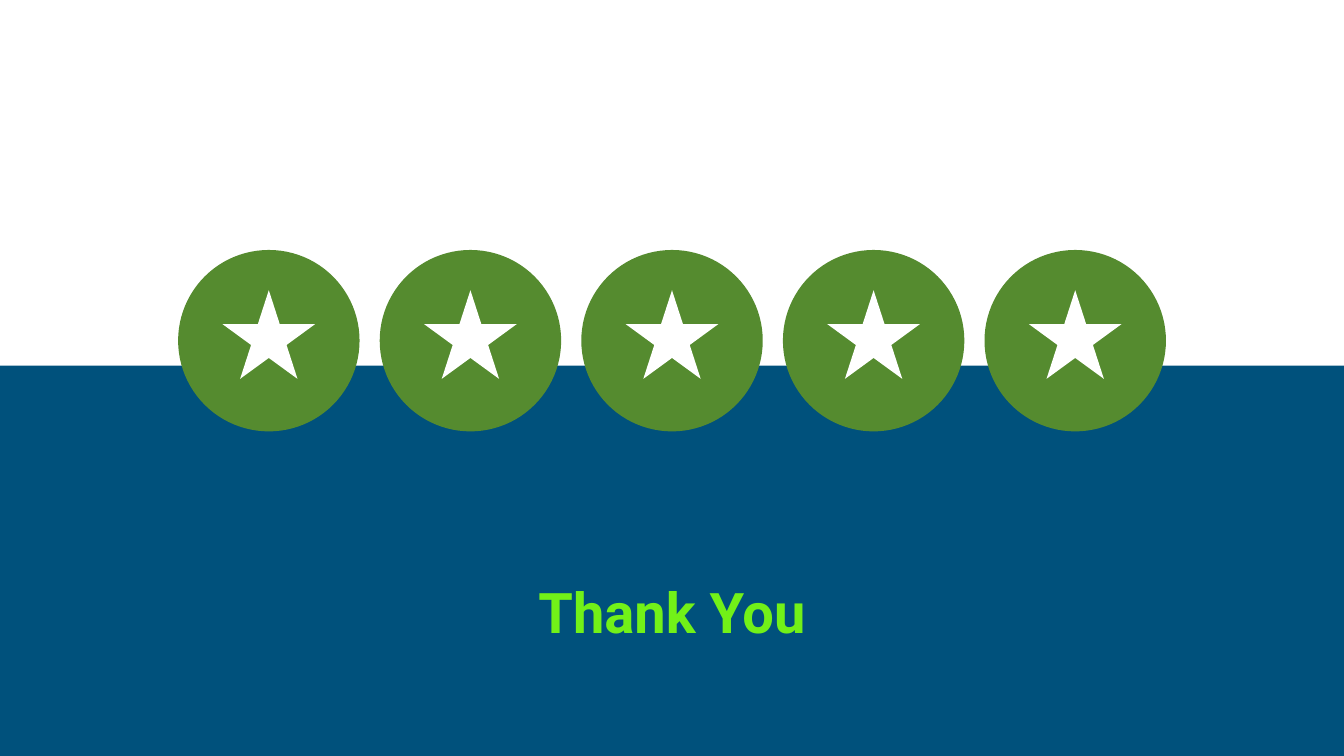
from pptx import Presentation
from pptx.dml.color import RGBColor
from pptx.enum.shapes import MSO_SHAPE
from pptx.enum.text import PP_ALIGN
from pptx.util import Inches, Pt

NAVY, GREEN, LIME, WHITE = "00517C", "558B2F", "72F118", "FFFFFF"
WIDTH = 10
HEIGHT = WIDTH * 9 / 16


def paint(fill, color):
    fill.solid()
    fill.fore_color.rgb = RGBColor.from_string(color)


def add_solid(shapes, kind, x, y, w, h, color):
    shape = shapes.add_shape(kind, Inches(x), Inches(y), Inches(w), Inches(h))
    shape.shadow.inherit = False
    paint(shape.fill, color)
    shape.line.fill.background()
    return shape


def add_badge(slide, x, y, size):
    """Round badge with a star, placed in the square at x, y."""
    group = slide.shapes.add_group_shape()
    add_solid(group.shapes, MSO_SHAPE.OVAL, x, y, size, size, GREEN)
    wide, high = 0.69, 0.66
    add_solid(group.shapes, MSO_SHAPE.STAR_5_POINT,
              x + (size - wide) / 2, y + 0.3, wide, high, WHITE)


def add_rating(slide, y, size, step, count):
    """Row of equally spaced badges, centred on the slide."""
    left = (WIDTH - (count - 1) * step - size) / 2
    for i in range(count):
        add_badge(slide, left + i * step, y, size)


def add_thanks(slide, x, y, w, h):
    """Closing words, centred across the box."""
    box = slide.shapes.add_textbox(Inches(x), Inches(y), Inches(w), Inches(h))
    frame = box.text_frame
    frame.word_wrap = True
    frame.margin_top = Inches(0.8)
    para = frame.paragraphs[0]
    para.text = "Thank You"
    para.alignment = PP_ALIGN.CENTER
    font = para.font
    font.name, font.size, font.bold = "Roboto", Pt(30), True
    font.color.rgb = RGBColor.from_string(LIME)


def main():
    deck = Presentation()
    deck.slide_width, deck.slide_height = Inches(WIDTH), Inches(HEIGHT)
    slide = deck.slides.add_slide(deck.slide_layouts[6])

    # Two-tone backdrop
    paint(slide.background.fill, NAVY)
    add_solid(slide.shapes, MSO_SHAPE.RECTANGLE, 0, 0, 10.02, 2.72, WHITE)

    # Five stars and the closing words
    add_rating(slide, 1.86, size=1.35, step=1.5, count=5)
    add_thanks(slide, 0.34, 3.5, 9.32, 1.76)

    deck.save("out.pptx")


if __name__ == "__main__":
    main()
